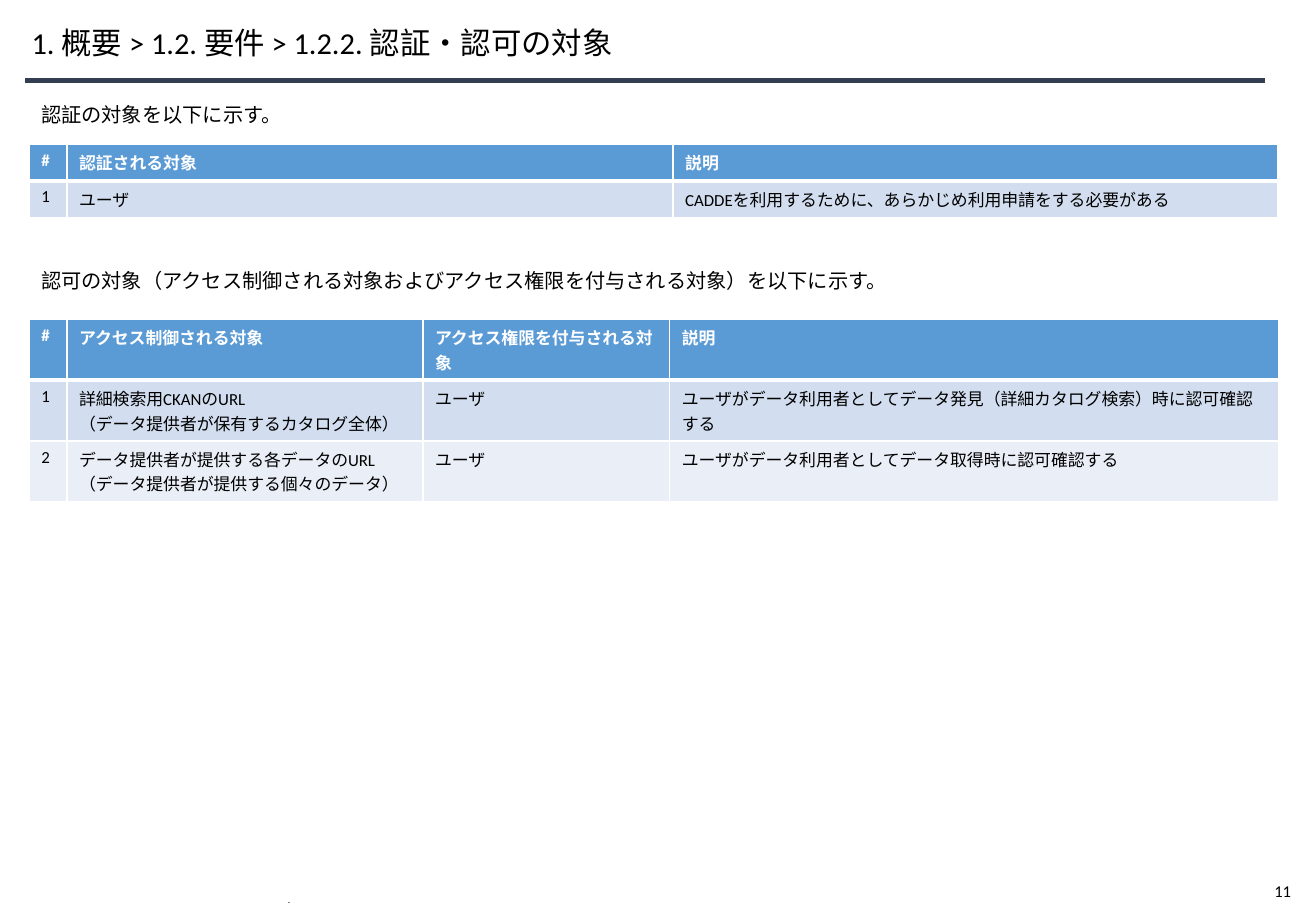
from dataclasses import dataclass

from lxml.etree import SubElement
from pptx import Presentation
from pptx.dml.color import RGBColor
from pptx.enum.shapes import MSO_CONNECTOR
from pptx.enum.text import MSO_ANCHOR, MSO_AUTO_SIZE, PP_ALIGN
from pptx.oxml.ns import qn
from pptx.slide import Slide
from pptx.table import _Cell
from pptx.text.text import TextFrame
from pptx.util import Cm, Length, Pt

COLORS = {
    "text": "000000",
    "white": "FFFFFF",
    "rule": "333F50",
    "head": "5B9BD5",
    "odd": "D2DEEF",
    "even": "EAEFF7",
}
LATIN, KANJI = "Calibri", "Noto Sans CJK JP"


@dataclass
class Note:
    text: str
    left: float
    top: float
    width: float
    height: float
    size: float = 12
    wrap: bool = True
    anchor: MSO_ANCHOR = MSO_ANCHOR.TOP
    line: Length | None = None


@dataclass
class Grid:
    top: float
    height: float
    widths: list[float]
    rows: list[list[str]]


NOTES = [
    Note("認証の対象を以下に示す。", 0.61, 2.01, 25.86, 0.97),
    Note("認可の対象（アクセス制御される対象およびアクセス権限を付与される対象）を以下に示す。",
         0.61, 5.49, 25.86, 0.97),
    Note("11", 26.39, 18.29, 0.91, 0.69, size=9.8, wrap=False),
    Note(".", 5.77, 18.69, 16, 0.36, size=5.7, anchor=MSO_ANCHOR.BOTTOM, line=Pt(1.6)),
]

GRIDS = [
    Grid(3.02, 0.75, [0.79, 12.67, 12.65], [
        ["#", "認証される対象", "説明"],
        ["1", "ユーザ", "CADDEを利用するために、あらかじめ利用申請をする必要がある"],
    ]),
    Grid(6.68, 1.26, [0.79, 7.44, 5.16, 12.73], [
        ["#", "アクセス制御される対象", "アクセス権限を付与される対象", "説明"],
        ["1", "詳細検索用CKANのURL\n（データ提供者が保有するカタログ全体）", "ユーザ",
         "ユーザがデータ利用者としてデータ発見（詳細カタログ検索）時に認可確認する"],
        ["2", "データ提供者が提供する各データのURL\n（データ提供者が提供する個々のデータ）", "ユーザ",
         "ユーザがデータ利用者としてデータ取得時に認可確認する"],
    ]),
]


def tint(name: str) -> RGBColor:
    return RGBColor.from_string(COLORS[name])


def write(frame: TextFrame, text: str, *, size: float, color: str = "text",
          bold: bool = False, line: float | Length | None = None) -> None:
    """Fill the frame with one paragraph for each line of text."""
    for i, part in enumerate(text.split("\n")):
        para = frame.add_paragraph() if i else frame.paragraphs[0]
        para.alignment = PP_ALIGN.LEFT
        para.line_spacing = line
        run = para.add_run()
        run.text = part
        font = run.font
        font.size, font.bold, font.name = Pt(size), bold, LATIN
        font.color.rgb = tint(color)
        SubElement(run._r.get_or_add_rPr(), qn("a:ea"), typeface=KANJI)


def add_title(slide: Slide, text: str) -> None:
    title = slide.shapes.title
    title.left, title.top, title.width, title.height = Cm(0.66), Cm(0.33), Cm(25.2), Cm(1.19)
    frame = title.text_frame
    frame.auto_size, frame.word_wrap = MSO_AUTO_SIZE.NONE, True
    frame.vertical_anchor = MSO_ANCHOR.MIDDLE
    frame.margin_left = 0
    write(frame, text, size=18, line=0.9)


def add_rule(slide: Slide) -> None:
    rule = slide.shapes.add_connector(
        MSO_CONNECTOR.STRAIGHT, Cm(0.53), Cm(1.68), Cm(26.44), Cm(1.68))
    rule.line.color.rgb = tint("rule")
    rule.line.width = Pt(3)
    SubElement(rule._element.spPr, qn("a:effectLst"))


def add_note(slide: Slide, note: Note) -> None:
    box = slide.shapes.add_textbox(
        Cm(note.left), Cm(note.top), Cm(note.width), Cm(note.height))
    frame = box.text_frame
    frame.word_wrap, frame.vertical_anchor = note.wrap, note.anchor
    write(frame, note.text, size=note.size, line=note.line)


def add_edges(cell: _Cell, top: float, bottom: float) -> None:
    props = cell._tc.get_or_add_tcPr()
    for side, width in {"L": 1, "R": 1, "T": top, "B": bottom}.items():
        edge = SubElement(props, qn(f"a:ln{side}"), w=str(Pt(width)))
        fill = SubElement(edge, qn("a:solidFill"))
        SubElement(fill, qn("a:srgbClr"), val=COLORS["white"])


def add_grid(slide: Slide, grid: Grid) -> None:
    count = len(grid.rows)
    table = slide.shapes.add_table(
        count, len(grid.widths), Cm(0.61), Cm(grid.top),
        Cm(sum(grid.widths)), Cm(grid.height * count)).table
    for col, width in zip(table.columns, grid.widths):
        col.width = Cm(width)
    for r, row in enumerate(grid.rows):
        table.rows[r].height = Cm(grid.height)
        head = r == 0
        shade = "head" if head else "odd" if r % 2 else "even"
        for c, text in enumerate(row):
            cell = table.cell(r, c)
            add_edges(cell, top=3 if r == 1 else 1, bottom=3 if head else 1)
            cell.fill.solid()
            cell.fill.fore_color.rgb = tint(shade)
            write(cell.text_frame, text, size=10, bold=head,
                  color="white" if head else "text")


def main() -> None:
    deck = Presentation()
    deck.slide_width, deck.slide_height = Cm(27.51), Cm(19.05)
    slide = deck.slides.add_slide(deck.slide_layouts[5])
    add_title(slide, "1. 概要 > 1.2. 要件 > 1.2.2. 認証・認可の対象")
    add_rule(slide)
    for grid in GRIDS:
        add_grid(slide, grid)
    for note in NOTES:
        add_note(slide, note)
    deck.save("out.pptx")


if __name__ == "__main__":
    main()
